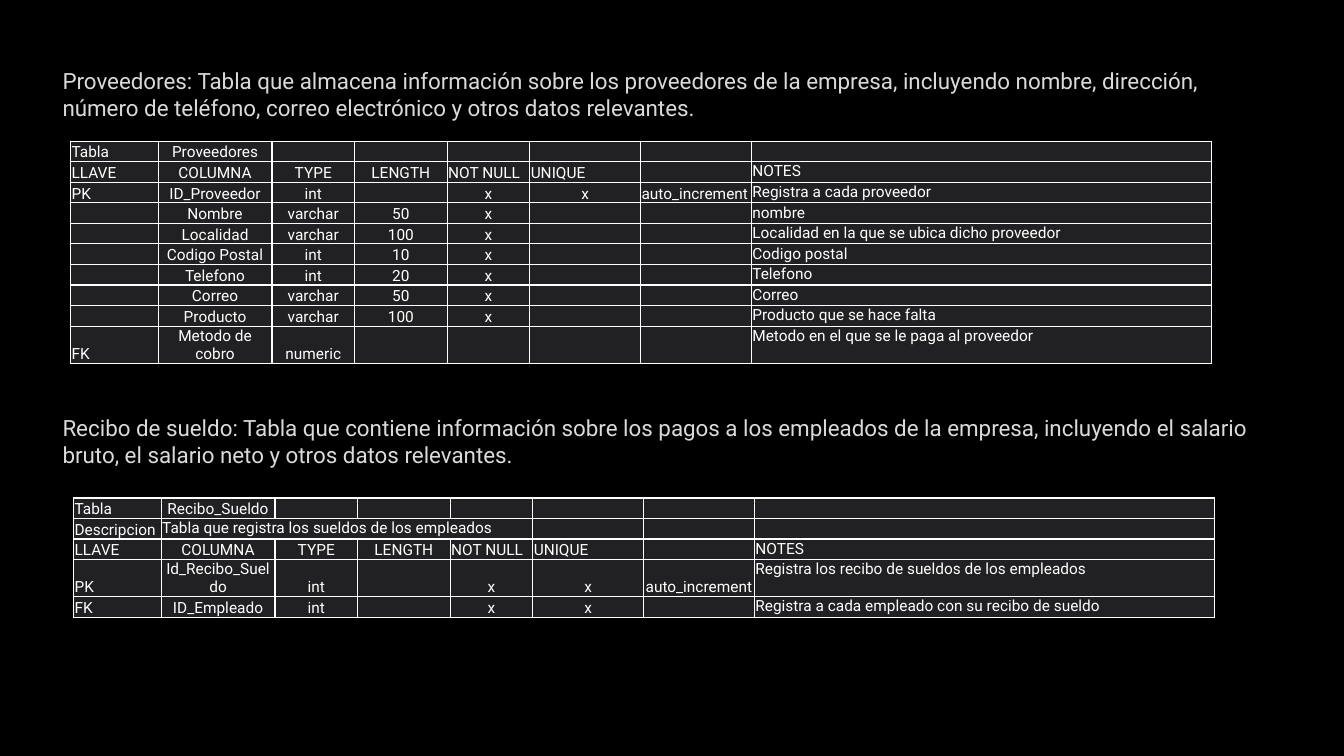
from lxml import etree
from pptx import Presentation
from pptx.dml.color import RGBColor
from pptx.enum.text import MSO_ANCHOR, PP_ALIGN
from pptx.oxml.ns import qn
from pptx.util import Pt

CENTER, LEFT = PP_ALIGN.CENTER, PP_ALIGN.LEFT
TOP, BOTTOM = MSO_ANCHOR.TOP, MSO_ANCHOR.BOTTOM
CELL = 9144
COLS, ROWS = 1333, 750
FONT = "Roboto"
WIDTHS = (87, 113, 82, 92, 82, 110, 110, 457)
ROW = Pt(14.7)
NOTE = len(WIDTHS) - 1
HEAD = ("LLAVE", "COLUMNA", "TYPE", "LENGTH", "NOT NULL", "UNIQUE", "", "NOTES")

INTRO = (
    "Proveedores: Tabla que almacena información sobre los proveedores de la "
    "empresa, incluyendo nombre, dirección, número de teléfono, correo "
    "electrónico y otros datos relevantes.",
    "Recibo de sueldo: Tabla que contiene información sobre los pagos a los "
    "empleados de la empresa, incluyendo el salario bruto, el salario neto y "
    "otros datos relevantes.",
)
VENDORS = (
    ("Tabla", "Proveedores"),
    HEAD,
    ("PK", "ID_Proveedor", "int", "", "x", "x", "auto_increment",
     "Registra a cada proveedor"),
    ("", "Nombre", "varchar", "50", "x", "", "", "nombre"),
    ("", "Localidad", "varchar", "100", "x", "", "",
     "Localidad en la que se ubica dicho proveedor"),
    ("", "Codigo Postal", "int", "10", "x", "", "", "Codigo postal"),
    ("", "Telefono", "int", "20", "x", "", "", "Telefono"),
    ("", "Correo", "varchar", "50", "x", "", "", "Correo"),
    ("", "Producto", "varchar", "100", "x", "", "", "Producto que se hace falta"),
    ("FK", "Metodo de cobro", "numeric", "", "", "", "",
     "Metodo en el que se le paga al proveedor"),
)
WAGES = (
    ("Tabla", "Recibo_Sueldo"),
    ("Descripcion", "Tabla que registra los sueldos de los empleados"),
    HEAD,
    ("PK", "Id_Recibo_Sueldo", "int", "", "x", "x", "auto_increment",
     "Registra los recibo de sueldos de los empleados"),
    ("FK", "ID_Empleado", "int", "", "x", "x", "",
     "Registra a cada empleado con su recibo de sueldo"),
)


def color(text):
    """Turn a hex string into a colour."""
    return RGBColor.from_string(text)


def grid(*cells):
    """Turn grid cells into lengths."""
    return [round(cell * CELL) for cell in cells]


def add_run(para, text, size, ink):
    """Add one styled run to a paragraph."""
    run = para.add_run()
    run.text = text
    run.font.size, run.font.name = Pt(size), FONT
    run.font.color.rgb = color(ink)


def add_intro(slide, box, texts, gap):
    """Fill the body placeholder with one paragraph per table."""
    body = slide.placeholders[1]
    body.left, body.top, body.width, body.height = grid(*box)
    frame = body.text_frame
    frame.vertical_anchor = TOP
    for index, text in enumerate(texts):
        para = frame.add_paragraph() if index else frame.paragraphs[0]
        para.space_before, para.space_after = Pt(gap * index), Pt(0)
        props = para._p.get_or_add_pPr()
        props.set("marL", str(4 * CELL))
        props.set("indent", "0")
        etree.SubElement(props, qn("a:buNone"))
        add_run(para, text, 16, "DADADA")


def add_edges(cell, ink, width):
    """Draw a line on all four sides of a cell."""
    props = cell._tc.get_or_add_tcPr()
    for side in ("lnL", "lnR", "lnT", "lnB"):
        line = etree.SubElement(props, qn("a:" + side), w=str(Pt(width)))
        fill = etree.SubElement(line, qn("a:solidFill"))
        etree.SubElement(fill, qn("a:srgbClr"), val=ink)


def fill_cell(cell, text, align, anchor):
    """Style a cell and write its text."""
    add_edges(cell, "FFFFFF", 1)
    cell.fill.solid()
    cell.fill.fore_color.rgb = color("212123")
    cell.margin_left = cell.margin_right = cell.margin_top = CELL
    cell.margin_bottom = 0
    cell.vertical_anchor = anchor
    para = cell.text_frame.paragraphs[0]
    para.alignment = align
    if text:
        add_run(para, text, 11, "FFFFFF")
    else:
        etree.SubElement(para._p, qn("a:endParaRPr"), sz="1100")


def add_fields(slide, box, rows, mids, wide=None):
    """Add a table of fields, with an optional row whose text spans columns."""
    left, top, width = grid(*box)
    table = slide.shapes.add_table(
        len(rows), len(WIDTHS), left, top, width, ROW * len(rows)).table
    table.first_row = table.horz_banding = False
    for col, share in zip(table.columns, WIDTHS):
        col.width = round(width * share / sum(WIDTHS))
    for y, row in enumerate(rows):
        table.rows[y].height = ROW
        for x in range(len(WIDTHS)):
            text = row[x] if x < len(row) else ""
            span = y == wide and x == 1
            mid = (1 <= x <= 3 or text in mids) and not span
            fill_cell(table.cell(y, x), text, CENTER if mid else LEFT,
                      TOP if span or x == NOTE else BOTTOM)
    if wide is not None:
        table.cell(wide, 1).merge(table.cell(wide, 4))


def build(deck):
    """Build the slide with both tables."""
    slide = deck.slides.add_slide(deck.slide_layouts[1])
    title = slide.shapes.title._element
    title.getparent().remove(title)
    slide.background.fill.solid()
    slide.background.fill.fore_color.rgb = color("000000")
    add_intro(slide, (48, 62, 1212, 620), INTRO, 209)
    add_fields(slide, (70, 140, 1132), VENDORS, ("x",))
    add_fields(slide, (73, 494, 1132), WAGES, ("x", "auto_increment"), wide=1)


deck = Presentation()
deck.slide_width, deck.slide_height = grid(COLS, ROWS)
build(deck)
deck.save("out.pptx")
